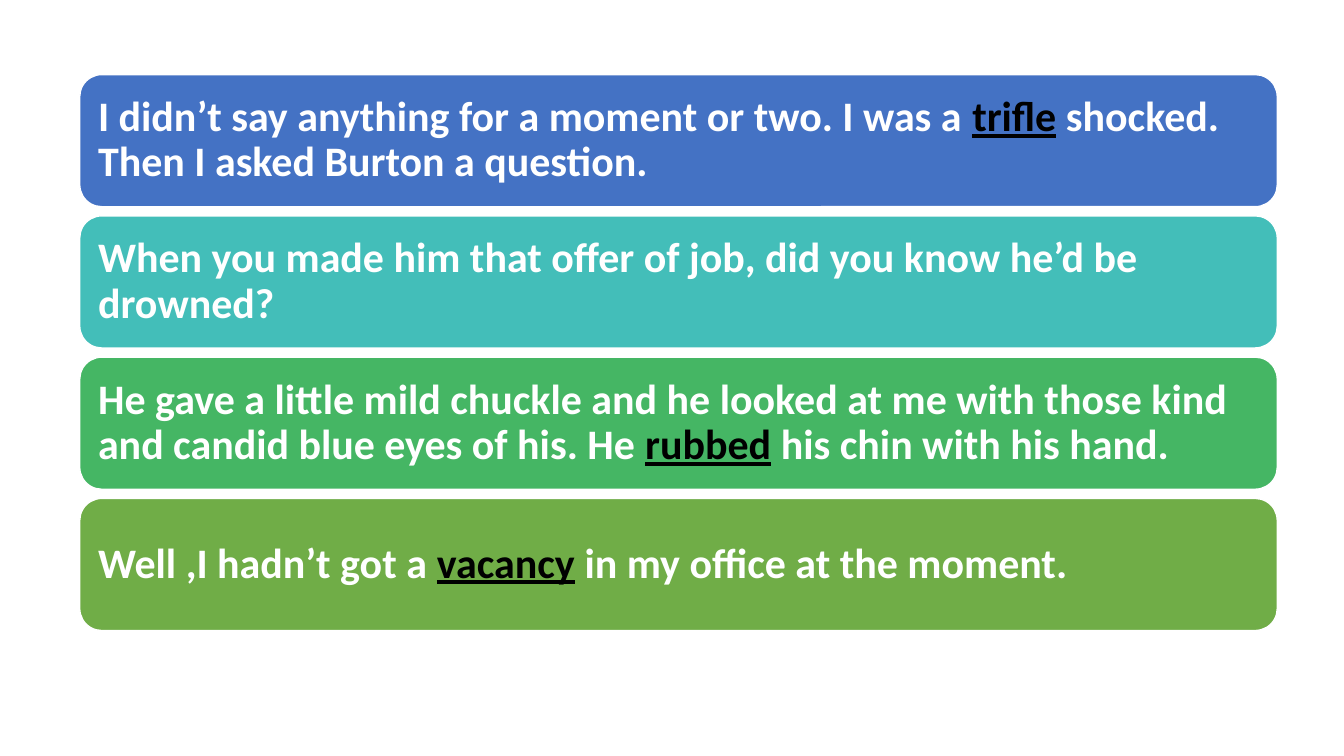
from dataclasses import dataclass

from pptx import Presentation
from pptx.dml.color import RGBColor
from pptx.enum.shapes import MSO_SHAPE
from pptx.enum.text import MSO_ANCHOR, PP_ALIGN
from pptx.util import Cm, Pt

ROUNDED_RECTANGLE = MSO_SHAPE.ROUNDED_RECTANGLE
MIDDLE = MSO_ANCHOR.MIDDLE
LEFT = PP_ALIGN.LEFT


@dataclass(frozen=True)
class Theme:
    font: str = "Calibri"
    text_size: Pt = Pt(30)
    text: RGBColor = RGBColor.from_string("FFFFFF")
    keyword: RGBColor = RGBColor.from_string("000000")
    outline: RGBColor = RGBColor.from_string("FFFFFF")
    bars: tuple = ("4472C4", "43BEB9", "45B664", "70AD47")


THEME = Theme()

BAR_LEFT, BAR_TOP = Cm(2.01), Cm(1.88)
BAR_WIDTH, BAR_HEIGHT = Cm(30.18), Cm(3.33)
BAR_STEP = Cm(3.56)
BAR_INSET = Cm(0.3)

# Each sentence is split into plain text, keyword, plain text, ...
SENTENCES = (
    ("I didn’t say anything for a moment or two. I was a ", "trifle",
     " shocked. Then I asked Burton a question."),
    ("When you made him that offer of job, did you know he’d be drowned?",),
    ("He gave a little mild chuckle and he looked at me with those kind and "
     "candid blue eyes of his. He ", "rubbed", " his chin with his hand."),
    ("Well ,I hadn’t got a ", "vacancy", " in my office at the moment."),
)


def write_sentence(paragraph, parts):
    """Write the parts as runs, with every second one marked as a keyword."""
    paragraph.alignment = LEFT
    paragraph.line_spacing = 0.9
    font = paragraph.font
    font.name = THEME.font
    font.size = THEME.text_size
    font.bold = True
    for index, part in enumerate(parts):
        is_keyword = index % 2 == 1
        run = paragraph.add_run()
        run.text = part
        run.font.color.rgb = THEME.keyword if is_keyword else THEME.text
        if is_keyword:
            run.font.underline = True


def add_bar(slide, top, color, parts):
    shape = slide.shapes.add_shape(
        ROUNDED_RECTANGLE, BAR_LEFT, top, BAR_WIDTH, BAR_HEIGHT)
    shape.shadow.inherit = False
    shape.fill.solid()
    shape.fill.fore_color.rgb = RGBColor.from_string(color)
    shape.line.color.rgb = THEME.outline
    shape.line.width = Pt(1)

    frame = shape.text_frame
    frame.word_wrap = True
    frame.vertical_anchor = MIDDLE
    frame.margin_left = frame.margin_right = BAR_INSET
    frame.margin_top = frame.margin_bottom = BAR_INSET
    write_sentence(frame.paragraphs[0], parts)


def main():
    presentation = Presentation()
    presentation.slide_width = Cm(33.87)
    presentation.slide_height = Cm(19.05)
    slide = presentation.slides.add_slide(presentation.slide_layouts[6])
    for index, (color, parts) in enumerate(zip(THEME.bars, SENTENCES)):
        add_bar(slide, BAR_TOP + index * BAR_STEP, color, parts)
    presentation.save("out.pptx")


if __name__ == "__main__":
    main()
